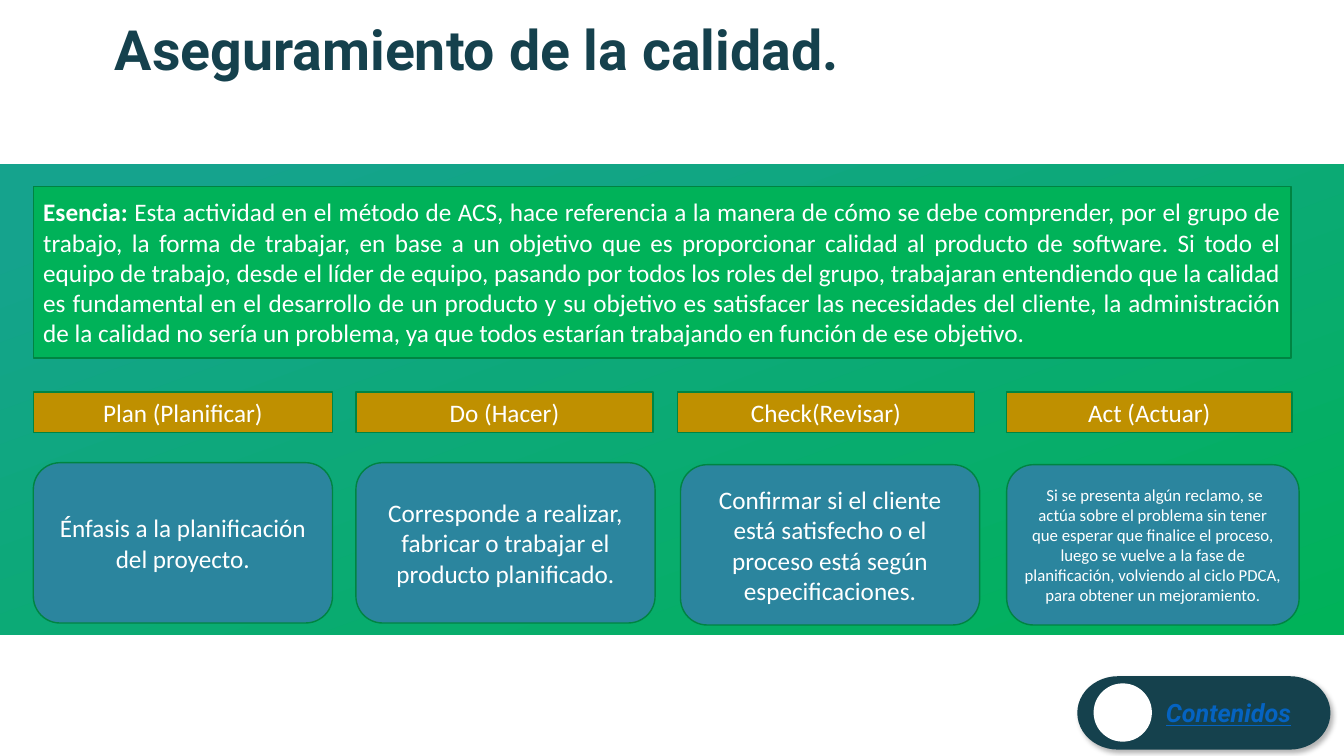
import dataclasses

import lxml.etree
import pptx
import pptx.dml.color
import pptx.enum.shapes
import pptx.enum.text
import pptx.oxml.ns
import pptx.util

Cm = pptx.util.Cm
Pt = pptx.util.Pt
Kind = pptx.enum.shapes.MSO_SHAPE
Align = pptx.enum.text.PP_ALIGN
Anchor = pptx.enum.text.MSO_ANCHOR

HUES = {
    "green": "00B259",
    "teal": "15A38D",
    "edge": "008442",
    "gold": "BF9000",
    "blue": "2B859E",
    "navy": "15414D",
    "link": "0563C1",
    "white": "FFFFFF",
}

ESSENCE = (
    "Esta actividad en el método de ACS, hace referencia a la manera de cómo se debe "
    "comprender, por el grupo de trabajo, la forma de trabajar, en base a un objetivo que es "
    "proporcionar calidad al producto de software. Si todo el equipo de trabajo, desde el líder "
    "de equipo, pasando por todos los roles del grupo, trabajaran entendiendo que la calidad es "
    "fundamental en el desarrollo de un producto y su objetivo es satisfacer las necesidades del "
    "cliente, la administración de la calidad no sería un problema, ya que todos estarían "
    "trabajando en función de ese objetivo."
)


@dataclasses.dataclass
class Box:
    left: float
    top: float
    width: float
    height: float

    def place(self) -> tuple:
        return Cm(self.left), Cm(self.top), Cm(self.width), Cm(self.height)


@dataclasses.dataclass
class Phase:
    name: str
    text: str
    head: Box
    body: Box
    size: float = 18


PHASES = [
    Phase("Plan (Planificar)", "Énfasis a la planificación del proyecto.",
          Box(0.84, 9.88, 7.54, 1.02), Box(0.84, 11.66, 7.54, 4.04)),
    Phase("Do (Hacer)", "Corresponde a realizar, fabricar o trabajar el producto planificado.",
          Box(8.97, 9.88, 7.49, 1.02), Box(8.97, 11.66, 7.54, 4.04)),
    Phase("Check(Revisar)",
          "Confirmar si el cliente está satisfecho o el proceso está según especificaciones.",
          Box(17.07, 9.88, 7.49, 1.02), Box(17.15, 11.71, 7.54, 4.04)),
    Phase("Act (Actuar)",
          " Si se presenta algún reclamo, se actúa sobre el problema sin tener que esperar que "
          "finalice el proceso, luego se vuelve a la fase de planificación, volviendo al ciclo "
          "PDCA, para obtener un mejoramiento.",
          Box(25.37, 9.88, 7.19, 1.02), Box(25.37, 11.71, 7.37, 4.04), 12),
]


def paint(hue: str) -> pptx.dml.color.RGBColor:
    return pptx.dml.color.RGBColor.from_string(HUES[hue])


def write(shape, text: str, *, size: float = 18, font: str = "Calibri", hue: str = "white",
          bold: bool = False, slant: bool = False, line: bool = False,
          align=Align.CENTER, anchor=Anchor.MIDDLE) -> None:
    """Add a run to the first paragraph of the shape."""
    frame = shape.text_frame
    frame.word_wrap = True
    frame.vertical_anchor = anchor
    para = frame.paragraphs[0]
    para.alignment = align
    run = para.add_run()
    run.text = text
    face = run.font
    face.name, face.size = font, Pt(size)
    face.bold, face.italic, face.underline = bold, slant, line
    face.color.rgb = paint(hue)


def draw(slide, kind, box: Box, hue: str, edge: str = ""):
    shape = slide.shapes.add_shape(kind, *box.place())
    shape.shadow.inherit = False
    shape.fill.solid()
    shape.fill.fore_color.rgb = paint(hue)
    if edge:
        shape.line.color.rgb = paint(edge)
        shape.line.width = Pt(1)
    else:
        shape.line.fill.background()
    return shape


def blend(shape, start: str, end: str) -> None:
    """Fill the shape with a slanted two-colour gradient."""
    shape.fill.gradient()
    shape.fill.gradient_angle = 290
    for stop, hue, place in zip(shape.fill.gradient_stops, (start, end), (0.08, 1)):
        stop.color.rgb = paint(hue)
        stop.position = place


def shade(shape) -> None:
    """Give the shape a soft shadow to the lower right."""
    name = pptx.oxml.ns.qn
    effects = shape.element.spPr.find(name("a:effectLst"))
    outer = lxml.etree.SubElement(effects, name("a:outerShdw"), blurRad=str(Pt(4)),
                                  dist=str(Pt(3)), dir="2700000", algn="tl", rotWithShape="0")
    tone = lxml.etree.SubElement(outer, name("a:srgbClr"), val="000000")
    lxml.etree.SubElement(tone, name("a:alpha"), val="30000")


def add_title(slide) -> None:
    title = slide.shapes.title
    title.left, title.top, title.width, title.height = Box(2.64, 0.53, 27.05, 2.34).place()
    title.text_frame.margin_top = Cm(0.05)
    title.text_frame.auto_size = pptx.enum.text.MSO_AUTO_SIZE.NONE
    write(title, "Aseguramiento de la calidad.", size=39.6, font="Roboto", hue="navy",
          bold=True, align=Align.LEFT, anchor=Anchor.TOP)
    title.text_frame.paragraphs[0].line_spacing = 0.9


def add_phase(slide, phase: Phase) -> None:
    head = draw(slide, Kind.RECTANGLE, phase.head, "gold", "edge")
    write(head, phase.name)
    body = draw(slide, Kind.ROUNDED_RECTANGLE, phase.body, "blue", "edge")
    write(body, phase.text, size=phase.size)


def add_badge(slide) -> None:
    pill = draw(slide, Kind.FLOWCHART_TERMINATOR, Box(27.15, 17.04, 6.38, 1.85), "navy")
    shade(pill)
    label = slide.shapes.add_textbox(*Box(29.13, 17.45, 4.27, 1.02).place())
    write(label, "Contenidos", font="Roboto", hue="link", bold=True, slant=True, line=True,
          align=Align.LEFT, anchor=Anchor.TOP)
    draw(slide, Kind.OVAL, Box(27.56, 17.22, 1.47, 1.47), "white")


def main() -> None:
    deck = pptx.Presentation()
    deck.slide_width, deck.slide_height = Cm(33.87), Cm(19.05)
    slide = deck.slides.add_slide(deck.slide_layouts[5])

    band = draw(slide, Kind.RECTANGLE, Box(0, 4.14, 33.87, 11.84), "green")
    blend(band, "teal", "green")
    panel = draw(slide, Kind.RECTANGLE, Box(0.84, 4.7, 31.7, 4.32), "green", "edge")
    write(panel, "Esencia: ", bold=True, align=Align.JUSTIFY)
    write(panel, ESSENCE, align=Align.JUSTIFY)

    for phase in PHASES:
        add_phase(slide, phase)
    add_title(slide)
    add_badge(slide)
    deck.save("out.pptx")


if __name__ == "__main__":
    main()
